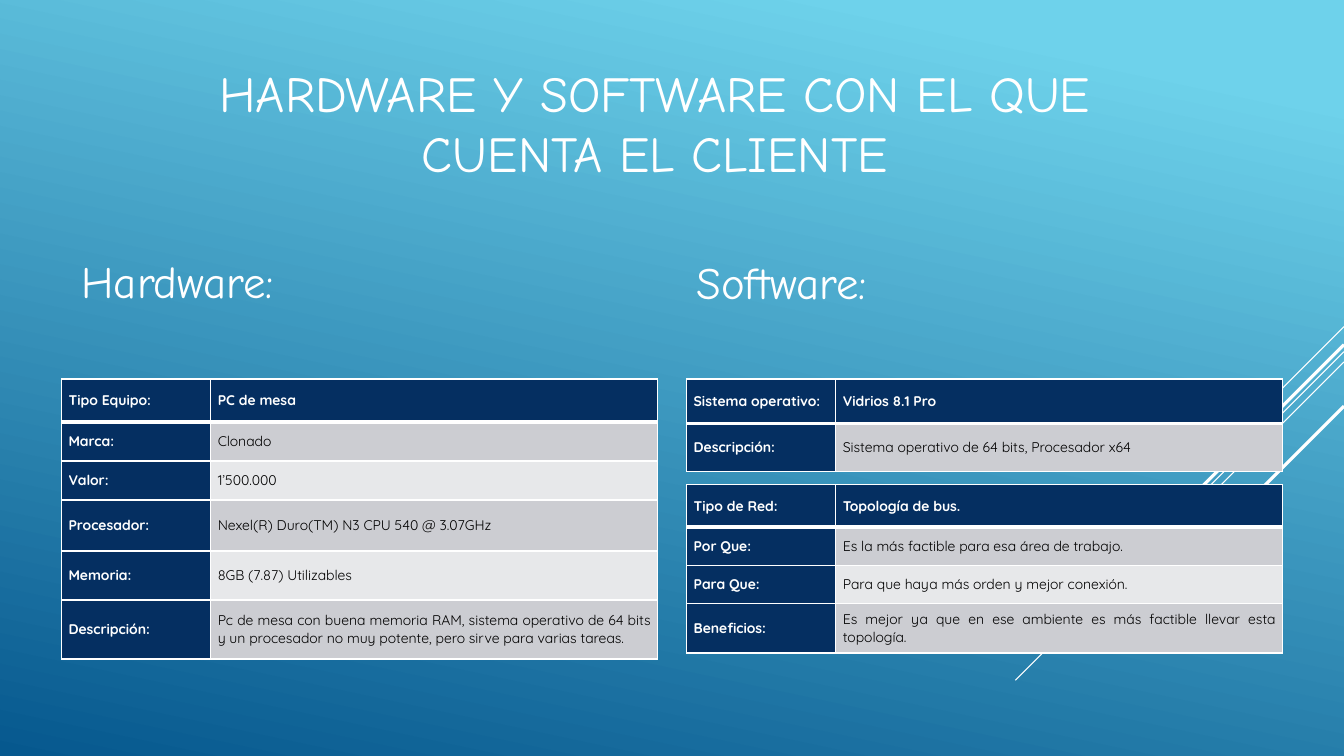
from dataclasses import dataclass

from lxml.etree import SubElement
from pptx import Presentation
from pptx.dml.color import RGBColor
from pptx.enum.shapes import MSO_CONNECTOR as Connector
from pptx.enum.text import MSO_ANCHOR as Anchor, MSO_AUTO_SIZE as AutoSize, PP_ALIGN as Align
from pptx.oxml.ns import qn
from pptx.util import Emu, Inches, Pt

WIDTH, HEIGHT = Inches(13.33), Inches(7.5)
HEADING_FONT, TABLE_FONT = "Comic Neue", "Quicksand"
WHITE, BLACK, NAVY = "FFFFFF", "000000", "052F61"
BANDS = ("E7E8EA", "CCCDD2")
LEFT_COL, RIGHT_COL = 4.58, 51.09
LABEL_COLS, VALUE_COLS = 11.1, 33.24


@dataclass(frozen=True)
class Streak:
    start_row: float
    run_cols: float
    weight: float


@dataclass(frozen=True)
class Heading:
    wording: str
    left: float
    top: float
    width: float


@dataclass(frozen=True)
class Entry:
    label: str
    value: str
    height: float


@dataclass(frozen=True)
class Inventory:
    left: float
    top: float
    value_align: Align
    entries: tuple[Entry, ...]


STREAKS = (
    Streak(43.2, 7.5, 0.75),
    Streak(46.53, 24.45, 0.75),
    Streak(47.87, 15.53, 0.75),
    Streak(45.6, 14.33, 2.25),
    Streak(53.73, 10.43, 2.25),
)
HEADINGS = (
    Heading("Hardware:", 5.33, 32.93, 30.9),
    Heading("Software:", RIGHT_COL, 33.07, 18.45),
)
INVENTORIES = (
    Inventory(LEFT_COL, 50.13, Align.JUSTIFY, (
        Entry("Tipo Equipo:", "PC de mesa", 5.7),
        Entry("Marca:", "Clonado", 5.15),
        Entry("Valor:", "1’500.000", 5.15),
        Entry("Procesador:", "Nexel(R) Duro(TM) N3 CPU 540 @ 3.07GHz", 6.75),
        Entry("Memoria:", "8GB (7.87) Utilizables", 6.5),
        Entry("Descripción:", "Pc de mesa con buena memoria RAM, sistema operativo de 64 bits "
              "y un procesador no muy potente, pero sirve para varias tareas.", 7.8),
    )),
    Inventory(RIGHT_COL, 50.13, Align.LEFT, (
        Entry("Sistema operativo:", "Vidrios 8.1 Pro", 5.87),
        Entry("Descripción:", "Sistema operativo de 64 bits, Procesador x64", 6.4),
    )),
    Inventory(RIGHT_COL, 64.13, Align.JUSTIFY, (
        Entry("Tipo de Red:", "Topología de bus.", 5.6),
        Entry("Por Que:", "Es la más factible para esa área de trabajo.", 5.05),
        Entry("Para Que:", "Para que haya más orden y mejor conexión.", 5.05),
        Entry("Beneficios:", "Es mejor ya que en ese ambiente es más factible "
              "llevar esta topología.", 6.55),
    )),
)


def cols(count: float) -> Emu:
    """Length of a number of columns, a hundred to the slide's width."""
    return Emu(round(WIDTH * count / 100))


def rows(count: float) -> Emu:
    """Length of a number of rows, a hundred to the slide's height."""
    return Emu(round(HEIGHT * count / 100))


def colour(code: str) -> RGBColor:
    return RGBColor.from_string(code)


def write(frame, wording: str, face: str, size: float, ink: str = WHITE,
          bold: bool = False, align: Align = Align.LEFT) -> None:
    frame.word_wrap = True
    paragraph = frame.paragraphs[0]
    paragraph.text = wording
    paragraph.alignment = align
    font = paragraph.font
    font.name, font.size, font.bold = face, Pt(size), bold
    font.color.rgb = colour(ink)


def paint_background(slide) -> None:
    fill = slide.background.fill
    fill.gradient()
    fill.gradient_angle = 258
    for stop, (position, code) in zip(fill.gradient_stops, ((0.1, "6ED2EB"), (1, "06588E"))):
        stop.position = position
        stop.color.rgb = colour(code)


def draw_streak(slide, streak: Streak) -> None:
    """Draw a 45-degree line running down and left from the right edge."""
    top, run = rows(streak.start_row), cols(streak.run_cols)
    line = slide.shapes.add_connector(Connector.STRAIGHT, WIDTH, top, WIDTH - run, top + run)
    line.line.color.rgb = colour(WHITE)
    line.line.width = Pt(streak.weight)
    SubElement(line._element.spPr, qn("a:effectLst"))


def place_title(slide) -> None:
    title = slide.shapes.title
    title.left, title.top = cols(13.73), rows(5.2)
    title.width, title.height = cols(70), rows(22)
    frame = title.text_frame
    frame.auto_size = AutoSize.NONE
    frame.vertical_anchor = Anchor.MIDDLE
    write(frame, "HARDWARE Y SOFTWARE CON EL QUE CUENTA EL CLIENTE",
          HEADING_FONT, 36, align=Align.CENTER)


def place_heading(slide, heading: Heading) -> None:
    box = slide.shapes.add_textbox(cols(heading.left), rows(heading.top),
                                   cols(heading.width), rows(8.53))
    write(box.text_frame, heading.wording, HEADING_FONT, 32)


def border(cell, **weights: float) -> None:
    """Give the cell white edges; call before filling, as edges precede the fill."""
    properties = cell._tc.get_or_add_tcPr()
    for side, weight in weights.items():
        edge = SubElement(properties, qn(f"a:ln{side}"), w=str(Pt(weight)))
        SubElement(SubElement(edge, qn("a:solidFill")), qn("a:srgbClr"), val=WHITE)


def place_inventory(slide, inventory: Inventory) -> None:
    entries = inventory.entries
    table = slide.shapes.add_table(
        len(entries), 2, cols(inventory.left), rows(inventory.top),
        cols(LABEL_COLS + VALUE_COLS), rows(sum(entry.height for entry in entries))).table
    table.columns[0].width, table.columns[1].width = cols(LABEL_COLS), cols(VALUE_COLS)
    for index, entry in enumerate(entries):
        table.rows[index].height = rows(entry.height)
        for column, wording in enumerate((entry.label, entry.value)):
            cell = table.cell(index, column)
            dark = index == 0 or column == 0
            border(cell, L=1, R=1, T=3 if index == 1 else 1, B=3 if index == 0 else 1)
            cell.fill.solid()
            cell.fill.fore_color.rgb = colour(NAVY if dark else BANDS[index % 2])
            cell.vertical_anchor = Anchor.MIDDLE
            cell.margin_left = cell.margin_right = Inches(0.07)
            cell.margin_top = cell.margin_bottom = 0
            write(cell.text_frame, wording, TABLE_FONT, 10, WHITE if dark else BLACK, dark,
                  inventory.value_align if column else Align.LEFT)


def main() -> None:
    deck = Presentation()
    deck.slide_width, deck.slide_height = WIDTH, HEIGHT
    slide = deck.slides.add_slide(deck.slide_layouts[5])
    paint_background(slide)
    for streak in STREAKS:
        draw_streak(slide, streak)
    place_title(slide)
    for heading in HEADINGS:
        place_heading(slide, heading)
    for inventory in INVENTORIES:
        place_inventory(slide, inventory)
    deck.save("out.pptx")


if __name__ == "__main__":
    main()
